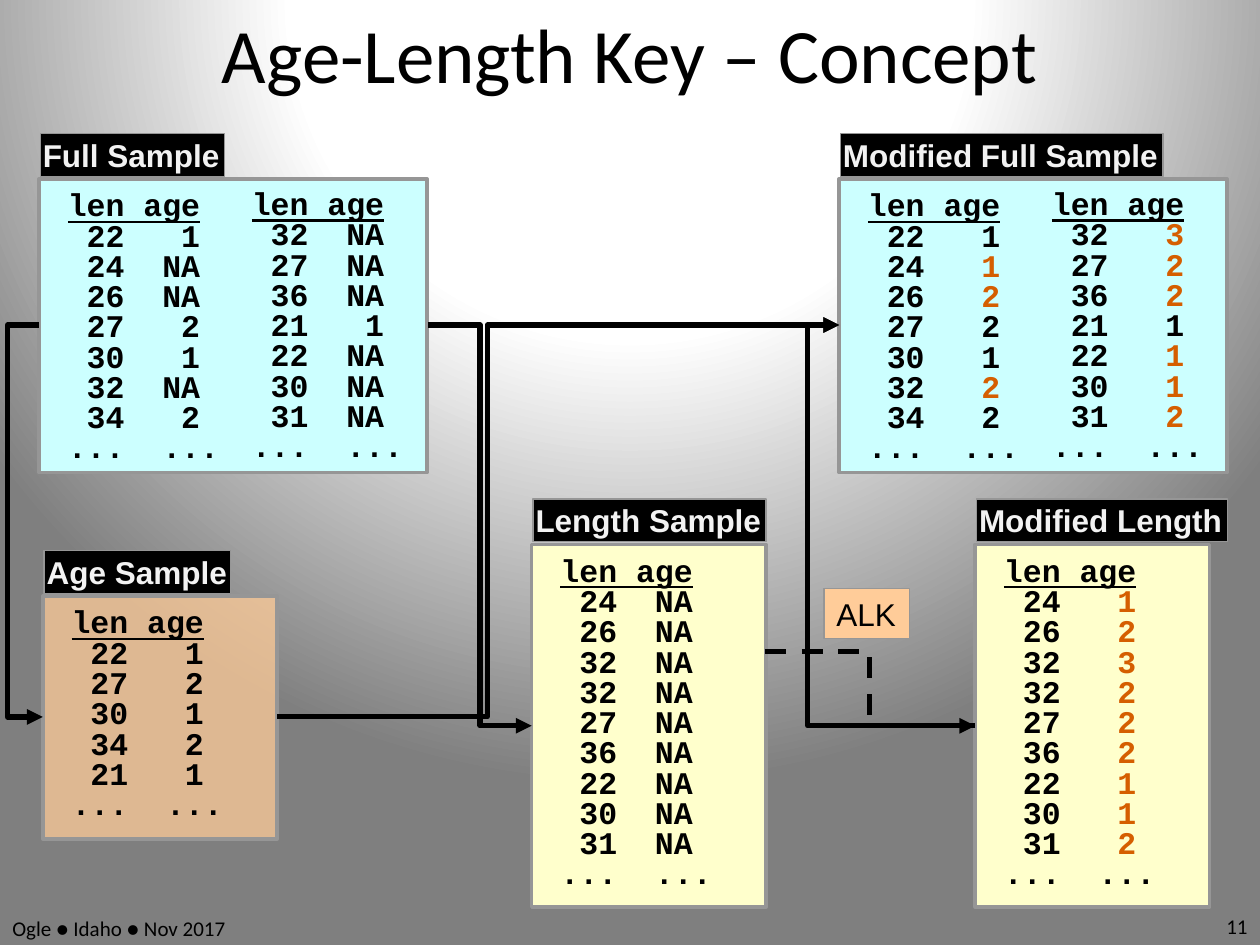
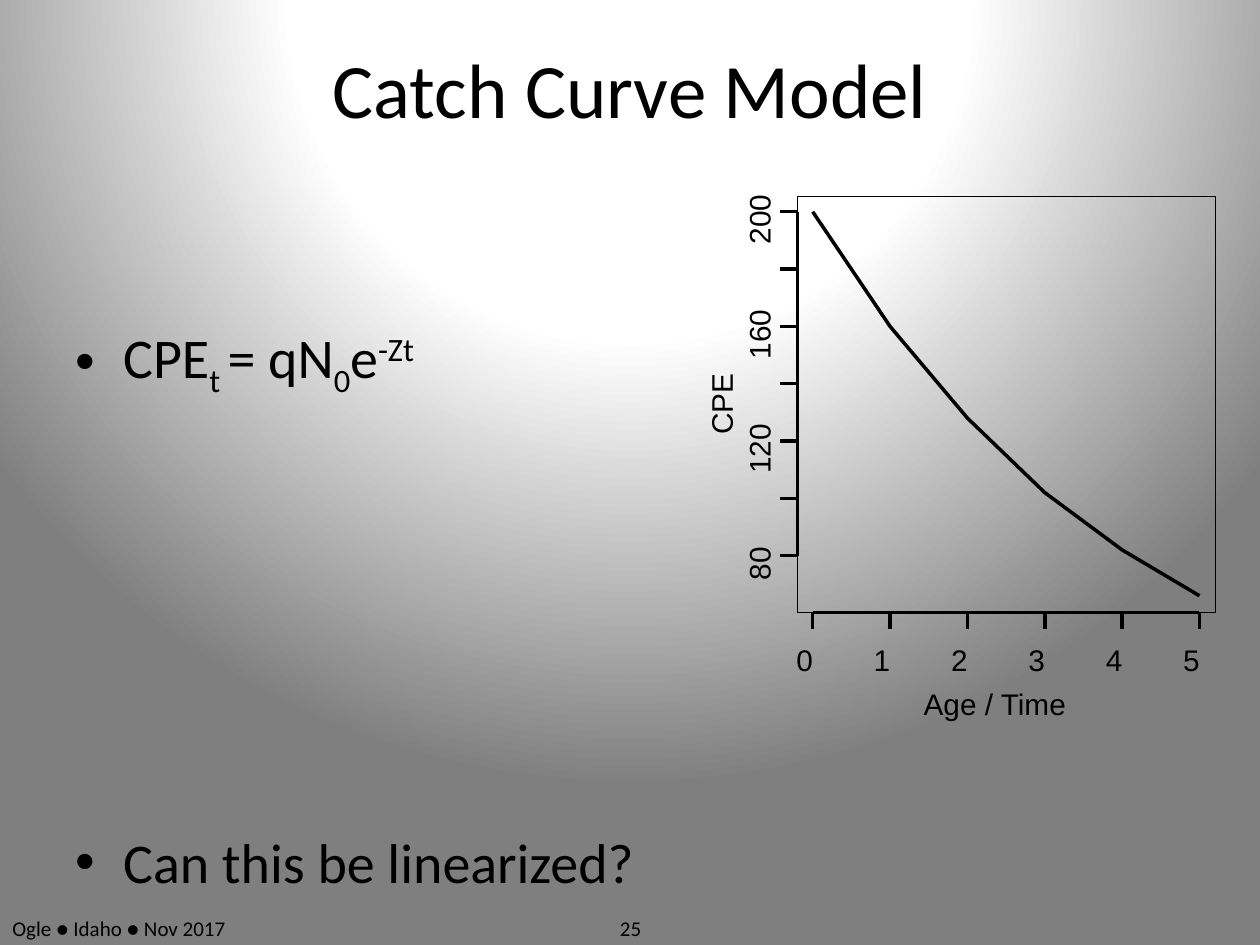
from pptx import Presentation
from pptx.dml.color import RGBColor
from pptx.enum.dml import MSO_LINE as Dash
from pptx.enum.shapes import MSO_CONNECTOR as Conn, MSO_SHAPE as Kind
from pptx.enum.text import MSO_ANCHOR as Anchor, MSO_AUTO_SIZE as Size, PP_ALIGN as Align
from pptx.oxml import parse_xml
from pptx.oxml.ns import nsdecls, qn
from pptx.util import Inches, Pt
from lxml.etree import SubElement

BLACK, GREY, PALE, RUST = "000000", "969696", "F2F2F2", "D55E00"
CYAN, TAN, CREAM = "CCFFFF", "FFCC99", "FFFFCC"
STOPS = [(40, "FEFEFE"), (43, "FFFFFF"), (100, "7F7F7F")]
FOOT = "Ogle ● Idaho ● Nov 2017"

# A star marks an age that was filled in.
PANELS = [
    ("Full Sample", 1.46, (0.31, 1.42, 3.08, 2.33), CYAN, 100,
     ["22 1,24 NA,26 NA,27 2,30 1,32 NA,34 2",
      "32 NA,27 NA,36 NA,21 1,22 NA,30 NA,31 NA"]),
    ("Age Sample", 1.48, (0.34, 4.73, 1.86, 1.93), TAN, 75,
     ["22 1,27 2,30 1,34 2,21 1"]),
    ("Length Sample", 1.85, (4.22, 4.32, 1.86, 2.88), CREAM, 100,
     ["24 NA,26 NA,32 NA,32 NA,27 NA,36 NA,22 NA,30 NA,31 NA"]),
    ("Modified Full Sample", 2.56, (6.66, 1.42, 3.08, 2.33), CYAN, 100,
     ["22 1,24 1*,26 2*,27 2,30 1,32 2*,34 2",
      "32 3*,27 2*,36 2*,21 1,22 1*,30 1*,31 2*"]),
    ("Modified Length", 1.99, (7.74, 4.32, 1.86, 2.88), CREAM, 100,
     ["24 1*,26 2*,32 3*,32 2*,27 2*,36 2*,22 1*,30 1*,31 2*"]),
]
FLOWS = [
    ((3.4, 2.58), (4.22, 5.76), 3.81, False),
    ((7.74, 5.76), (6.66, 2.58), 6.41, False),
    ((2.2, 5.69), (6.66, 2.58), 3.87, False),
    ((6.07, 5.17), (7.74, 5.76), 6.9, True),
    ((0.31, 2.58), (0.34, 5.69), 0.06, False),
]
MODEL = [("CPE", 0), ("t ", -25), ("= qN", 0), ("0", -25), ("e", 0), ("-Zt", 30)]
ASK = "Can this be linearized?"
CATCH = [200, 160, 128, 102, 82, 66]
TICKS = range(80, 201, 20)
FRAME = (6.33, 1.56, 3.32, 3.3)


def color(code):
    return RGBColor.from_string(code)


def style(font, size, face, code=BLACK, bold=False):
    font.size, font.name, font.bold = Pt(size), face, bold
    font.color.rgb = color(code)


def stroke(line, width, code=BLACK):
    line.width = Pt(width)
    line.color.rgb = color(code)


def setup(shape, inset=None, wrap=True, grow=False, anchor=Anchor.TOP):
    frame = shape.text_frame
    frame.word_wrap = wrap
    frame.vertical_anchor = anchor
    frame.auto_size = Size.SHAPE_TO_FIT_TEXT if grow else Size.NONE
    if inset is not None:
        frame.margin_left = frame.margin_right = Inches(inset)
        frame.margin_top = frame.margin_bottom = Inches(inset)
    return frame


def write(shape, text, size, face, code=BLACK, bold=False, align=Align.LEFT, **opts):
    para = setup(shape, **opts).paragraphs[0]
    para.text, para.alignment = text, align
    style(para.font, size, face, code, bold)


def text_box(slide, box):
    return slide.shapes.add_textbox(*map(Inches, box))


def rect(slide, box, fill, width, code=GREY):
    shape = slide.shapes.add_shape(Kind.RECTANGLE, *map(Inches, box))
    shape.shadow.inherit = False
    if fill:
        shape.fill.solid()
        shape.fill.fore_color.rgb = color(fill)
    else:
        shape.fill.background()
    stroke(shape.line, width, code)
    return shape


def link(slide, start, end, width=0, kind=Conn.STRAIGHT):
    line = slide.shapes.add_connector(kind, *map(Inches, (*start, *end)))
    stroke(line.line, width)
    SubElement(line._element.spPr, qn("a:effectLst"))
    return line


def flow(slide, start, end, mid, dashed):
    line = link(slide, start, end, 3, Conn.ELBOW)
    if dashed:
        line.line.dash_style = Dash.DASH
    props = line._element.spPr
    SubElement(props.find(qn("a:ln")), qn("a:tailEnd"), type="triangle")
    bend = round((mid - start[0]) / (end[0] - start[0]) * 100000)
    guides = props.find(qn("a:prstGeom")).get_or_add_avLst()
    SubElement(guides, qn("a:gd"), name="adj1", fmla=f"val {bend}")


def base(deck, title, top, high, page, spot, align):
    slide = deck.slides.add_slide(deck.slide_layouts[6])
    stops = "".join(f'<a:gs pos="{pos * 1000}"><a:srgbClr val="{code}"/></a:gs>'
                    for pos, code in STOPS)
    slide._element.cSld.insert(0, parse_xml(
        f'<p:bg {nsdecls("p", "a")}><p:bgPr><a:gradFill><a:gsLst>{stops}</a:gsLst>'
        '<a:path path="circle"><a:fillToRect l="50000" t="-80000" r="50000" b="180000"/>'
        '</a:path></a:gradFill><a:effectLst/></p:bgPr></p:bg>'))
    for text, box, size, side in [
            (title, (0.5, top, 9, high), 44, Align.CENTER),
            (FOOT, (0, 7.23, 2.33, 0.27), 12, Align.LEFT),
            (page, spot, 12, align)]:
        write(text_box(slide, box), text, size, "Calibri", align=side, anchor=Anchor.MIDDLE)
    return slide


def listing(slide, left, top, data):
    rows = data.split(",")
    shape = text_box(slide, (left, top, 1.5, 0.25 * (len(rows) + 2)))
    frame = setup(shape, grow=True)
    for num, row in enumerate(["len age", *rows, "..."]):
        para = frame.paragraphs[0] if num == 0 else frame.add_paragraph()
        para.line_spacing = 0.8
        stops = [(0.75, "l")] if row == "..." else [(0.45, "r"), (1.05, "r")]
        tabs = SubElement(para._p.get_or_add_pPr(), qn("a:tabLst"))
        for pos, side in stops:
            SubElement(tabs, qn("a:tab"), pos=str(Inches(pos)), algn=side)
        style(para.font, 18, "Courier New", bold=True)
        para.font.underline = num == 0
        if num == 0:
            para.add_run().text = row
        elif row == "...":
            para.add_run().text = "...\t..."
        else:
            size, age = row.split()
            para.add_run().text = f"\t{size}\t"
            run = para.add_run()
            run.text = age.rstrip("*")
            if age.endswith("*"):
                run.font.color.rgb = color(RUST)


def panel(slide, name, wide, box, fill, solid, lists):
    left, top = box[:2]
    shape = rect(slide, box, fill, 2)
    if solid < 100:
        tint = shape._element.spPr.find(qn("a:solidFill"))[0]
        SubElement(tint, qn("a:alpha"), val=str(solid * 1000))
    for num, data in enumerate(lists):
        listing(slide, left + 0.13 + 1.46 * num, top + 0.06 - 0.01 * num, data)
    label = rect(slide, (left + 0.01, top - 0.36, wide, 0.34), BLACK, 0.75)
    write(label, name, 18, "Arial", PALE, True, inset=0.02, wrap=False, grow=True)


def concept(deck):
    slide = base(deck, "Age-Length Key – Concept", 0, 0.84,
                 "11", (7.67, 7.2, 2.33, 0.3), Align.RIGHT)
    for item in PANELS:
        panel(slide, *item)
    for item in FLOWS:
        flow(slide, *item)
    key = rect(slide, (6.54, 4.67, 0.68, 0.4), TAN, 0.75)
    write(key, "ALK", 18, "Arial", wrap=False, grow=True)


def bullets(slide):
    frame = setup(text_box(slide, (0.5, 2.51, 5.2, 4.57)))
    for num, parts in enumerate([MODEL, [(ASK, 0)]]):
        para = frame.add_paragraph() if num else frame.paragraphs[0]
        para.space_before = Pt(245 * num)
        props = para._p.get_or_add_pPr()
        props.set("marL", str(Inches(0.38)))
        props.set("indent", str(-Inches(0.38)))
        SubElement(props, qn("a:buFont"), typeface="Arial")
        SubElement(props, qn("a:buChar"), char="•")
        style(para.font, 32, "Calibri")
        for text, shift in parts:
            run = para.add_run()
            run.text = text
            if shift:
                run.font._element.set("baseline", str(shift * 1000))


def mark(slide, text, box, turn=0):
    shape = text_box(slide, box)
    shape.rotation = turn
    write(shape, text, 17, "Arial", inset=0, wrap=False, grow=True)


def plot(slide):
    left, top, wide, high = FRAME
    floor = top + high

    def across(age):
        return 6.45 + 0.614 * age

    def down(catch):
        return 1.68 + (200 - catch) * 2.73 / 120

    dots = [(Inches(across(age)), Inches(down(catch))) for age, catch in enumerate(CATCH)]
    path = slide.shapes.build_freeform(*dots[0])
    path.add_line_segments(dots[1:], close=False)
    curve = path.convert_to_shape()
    curve.shadow.inherit = False
    curve.fill.background()
    stroke(curve.line, 2)

    link(slide, (across(0), floor), (across(5), floor))
    for age in range(len(CATCH)):
        spot = across(age)
        link(slide, (spot, floor), (spot, floor + 0.13))
        mark(slide, str(age), (spot - 0.13, 5.09, 0.25, 0.34))
    link(slide, (left, down(80)), (left, down(200)))
    for catch in TICKS:
        spot = down(catch)
        link(slide, (left, spot), (left - 0.14, spot))
        if catch % 40 == 0:
            span = 0.13 * (len(str(catch)) + 1)
            mark(slide, str(catch), (6.05 - span / 2, spot - 0.17, span, 0.34), 270)
    rect(slide, FRAME, None, 0, BLACK)
    mark(slide, "Age / Time", (7.33, 5.44, 1.29, 0.34))
    mark(slide, "CPE", (5.48, 3.06, 0.49, 0.29), 270)


def curve_model(deck):
    slide = base(deck, "Catch Curve Model", 0.3, 0.8,
                 "25", (3.42, 7.23, 3.17, 0.27), Align.CENTER)
    bullets(slide)
    plot(slide)


def main():
    deck = Presentation()
    deck.slide_width, deck.slide_height = Inches(10), Inches(7.5)
    concept(deck)
    curve_model(deck)
    deck.save("out.pptx")


if __name__ == "__main__":
    main()
